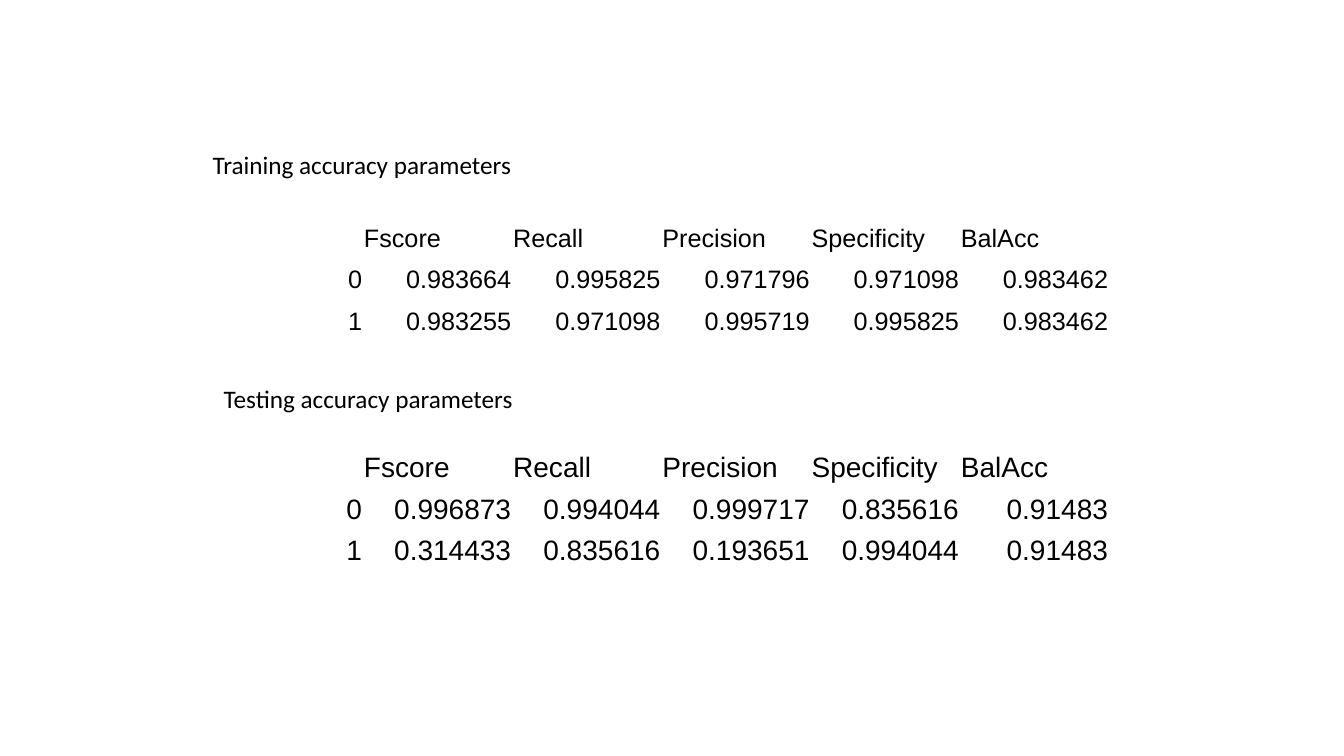
import pptx
import pptx.dml.color
import pptx.enum.text
import pptx.util
from pptx.util import Inches

LEFT = pptx.enum.text.PP_ALIGN.LEFT
RIGHT = pptx.enum.text.PP_ALIGN.RIGHT


def color(hex_string):
    return pptx.dml.color.RGBColor.from_string(hex_string)


def write(text_frame, text, font="Arial", size=18, fill="000000", align=LEFT):
    paragraph = text_frame.paragraphs[0]
    paragraph.alignment = align
    run = paragraph.add_run()
    run.text = text
    run.font.name = font
    run.font.size = pptx.util.Pt(size)
    run.font.bold = False
    run.font.color.rgb = color(fill)


presentation = pptx.Presentation()
presentation.slide_width = Inches(13.33)
presentation.slide_height = Inches(7.5)
slide = presentation.slides.add_slide(presentation.slide_layouts[6])

header = ["", "Fscore", "Recall", "Precision", "Specificity", "BalAcc"]
training_rows = [
    header,
    ["0", "0.983664", "0.995825", "0.971796", "0.971098", "0.983462"],
    ["1", "0.983255", "0.971098", "0.995719", "0.995825", "0.983462"],
]
testing_rows = [
    header,
    ["0", "0.996873", "0.994044", "0.999717", "0.835616", "0.91483"],
    ["1", "0.314433", "0.835616", "0.193651", "0.994044", "0.91483"],
]

# Each section: heading, its left and top, then table top, text size and rows
sections = [
    ("Training accuracy parameters", 2.01, 1.43, 2.1, 18, training_rows),
    ("Testing accuracy parameters", 2.12, 3.75, 4.39, 20, testing_rows),
]
column_width, row_height = 1.48, 0.41

for heading, heading_left, heading_top, table_top, size, rows in sections:
    # Heading
    text_box = slide.shapes.add_textbox(
        Inches(heading_left), Inches(heading_top), Inches(9.32), Inches(0.4))
    text_box.text_frame.word_wrap = True
    write(text_box.text_frame, heading, font="Calibri")

    # Plain table of scores
    table = slide.shapes.add_table(
        len(rows), len(header), Inches(2.12), Inches(table_top),
        Inches(column_width * len(header)), Inches(row_height * len(rows))).table
    table.first_row = False
    table.horz_banding = False
    for column in table.columns:
        column.width = Inches(column_width)
    for row_index, values in enumerate(rows):
        table.rows[row_index].height = Inches(row_height)
        for column_index, value in enumerate(values):
            cell = table.cell(row_index, column_index)
            cell.fill.background()
            cell.vertical_anchor = pptx.enum.text.MSO_ANCHOR.BOTTOM
            cell.margin_left = cell.margin_right = cell.margin_top = Inches(0.01)
            cell.margin_bottom = 0
            if value:
                write(cell.text_frame, value, size=size,
                      align=RIGHT if row_index else LEFT)

presentation.save("out.pptx")
